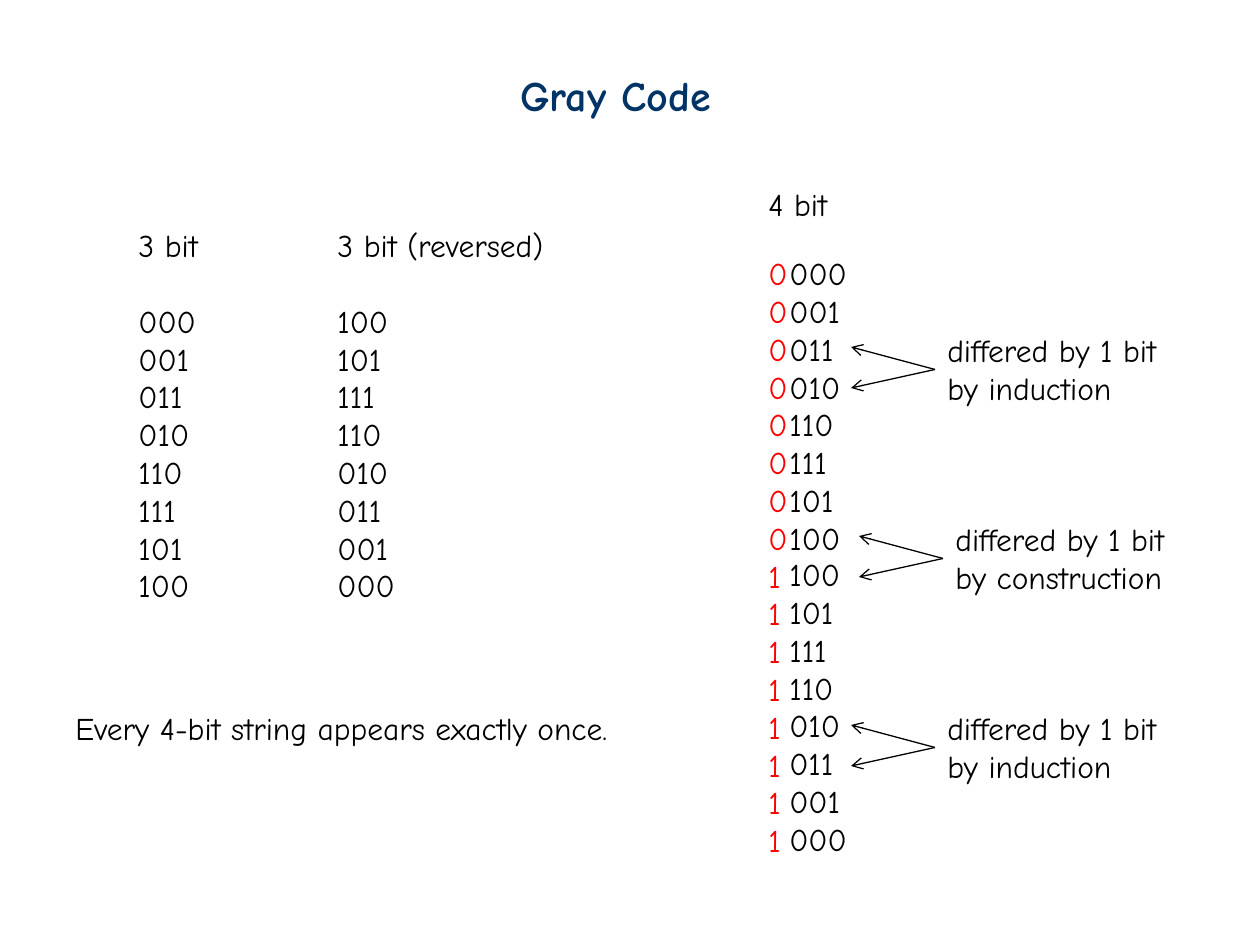
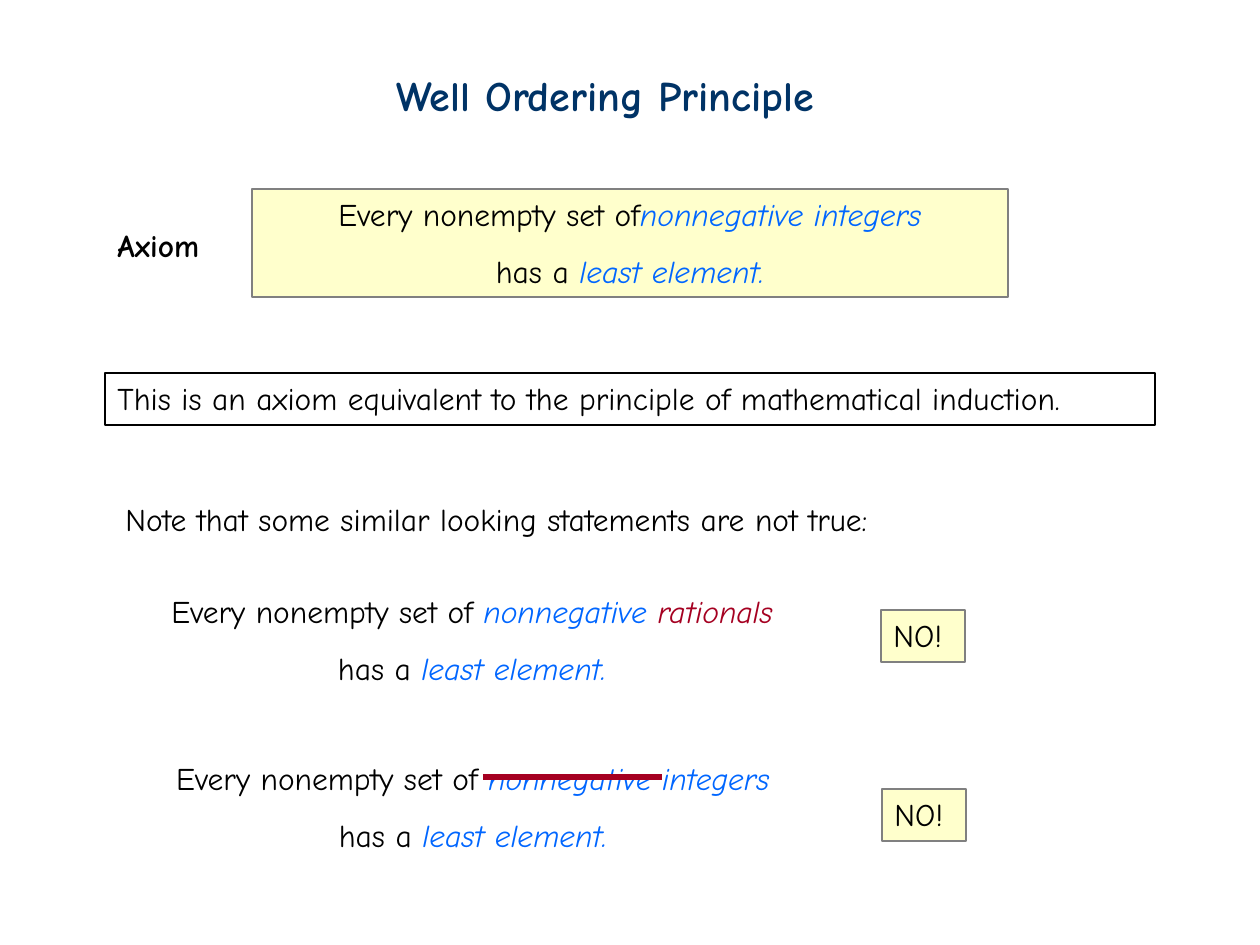
from dataclasses import dataclass

from lxml import etree
from pptx import Presentation
from pptx.dml.color import RGBColor
from pptx.enum.shapes import MSO_CONNECTOR, MSO_SHAPE
from pptx.enum.text import MSO_ANCHOR, MSO_AUTO_SIZE, PP_ALIGN
from pptx.oxml.ns import qn
from pptx.util import Emu, Pt

STRAIGHT = MSO_CONNECTOR.STRAIGHT
RECTANGLE = MSO_SHAPE.RECTANGLE
TOP = MSO_ANCHOR.TOP
FIT_SHAPE = MSO_AUTO_SIZE.SHAPE_TO_FIT_TEXT
LEFT, CENTER = PP_ALIGN.LEFT, PP_ALIGN.CENTER
LEFT_SIDE = 1
EMU_PER_PX = 914400 / 126


@dataclass(frozen=True)
class Theme:
    font: str = "Comic Neue"
    title_size: int = 24
    body_size: int = 18
    header_gap: float = 21.6
    thin: float = 0.75
    thick: float = 3
    title: str = "003366"
    ink: str = "000000"
    prefix: str = "FF0000"
    term: str = "0066FF"
    wrong: str = "A50021"
    panel: str = "FFFFCC"
    panel_edge: str = "808080"


THEME = Theme()

# Gray code content
GRAY_3 = ["000", "001", "011", "010", "110", "111", "101", "100"]
REVERSED_3 = GRAY_3[::-1]
PREFIXES = ["0"] * len(GRAY_3) + ["1"] * len(GRAY_3)
THREE_BIT_COLUMNS = [
    ("3 bit", GRAY_3, (126, 220, 97, 394)),
    ("3 bit (reversed)", REVERSED_3, (325, 220, 262, 394)),
]
FOUR_BIT_COLUMNS = [
    (GRAY_3, (777, 248, 105, 318), THEME.ink),
    (REVERSED_3, (777, 549, 116, 318), THEME.ink),
    (PREFIXES, (756, 248, 45, 624), THEME.prefix),
]
REASONS = [("by induction", 935), ("by construction", 943), ("by induction", 935)]
REASON_TOP, REASON_PITCH = 325, 189
ARROW_REACH, ARROW_DROPS = 84, (22, 63)

# Well ordering content: each run is (text, colour, italic)
NONEMPTY = ("Every nonempty set of ", THEME.ink, False)
LEAST_ELEMENT = [("has a ", THEME.ink, False), ("least element.", THEME.term, True)]
AXIOM = [("Every nonempty set of", THEME.ink, False),
         ("nonnegative integers", THEME.term, True)]
FALSE_STATEMENTS = [
    ([NONEMPTY, ("nonnegative ", THEME.term, True), ("rationals", THEME.wrong, True)],
     (115, 586, 714, 107), (881, 610, 84, 52)),
    ([NONEMPTY, ("nonnegative integers", THEME.term, True)],
     (95, 753, 756, 107), (882, 789, 84, 52)),
]
STRIKE = (483, 777, 662, 777)


def px(value):
    return Emu(round(value * EMU_PER_PX))


def rgb(code):
    return RGBColor.from_string(code)


def add_run(paragraph, text, color=THEME.ink, italic=False, bold=False,
            size=THEME.body_size):
    run = paragraph.add_run()
    run.text = text
    font = run.font
    font.name, font.size = THEME.font, Pt(size)
    font.bold, font.italic = bold, italic
    font.color.rgb = rgb(color)


def write(shape, lines, wrap=False, align=LEFT, **style):
    """Fill a shape; a line is a string or a list of (text, colour, italic) runs."""
    frame = shape.text_frame
    frame.word_wrap, frame.auto_size = wrap, FIT_SHAPE
    frame.vertical_anchor = TOP
    for index, line in enumerate(lines):
        paragraph = frame.add_paragraph() if index else frame.paragraphs[0]
        paragraph.alignment = align
        if isinstance(line, str):
            add_run(paragraph, line, **style)
        else:
            for text, color, italic in line:
                add_run(paragraph, text, color, italic)
    return shape


def add_text(slide, box, lines, **options):
    return write(slide.shapes.add_textbox(*map(px, box)), lines, **options)


def add_panel(slide, box, lines, fill=THEME.panel, edge=THEME.panel_edge, **options):
    panel = slide.shapes.add_shape(RECTANGLE, *map(px, box))
    panel.shadow.inherit = False
    if fill:
        panel.fill.solid()
        panel.fill.fore_color.rgb = rgb(fill)
    else:
        panel.fill.background()
    panel.line.color.rgb = rgb(edge)
    panel.line.width = Pt(THEME.thin)
    return write(panel, lines, **options)


def add_line(slide, ends, color=THEME.ink, width=THEME.thin):
    line = slide.shapes.add_connector(STRAIGHT, *map(px, ends))
    line.line.color.rgb = rgb(color)
    line.line.width = Pt(width)
    etree.SubElement(line._element.spPr, qn("a:effectLst"))
    return line


def add_arrow(slide, source, ends):
    """Draw an open arrow that starts at the left side of source."""
    arrow = add_line(slide, ends)
    arrow.begin_connect(source, LEFT_SIDE)
    etree.SubElement(arrow.line._get_or_add_ln(), qn("a:tailEnd"), type="arrow")


def add_titled_slide(deck, title, box):
    slide = deck.slides.add_slide(deck.slide_layouts[6])
    add_text(slide, box, [title], color=THEME.title, bold=True, size=THEME.title_size)
    return slide


def add_statement(draw, slide, box, opening):
    statement = draw(slide, box, [opening, LEAST_ELEMENT], wrap=True, align=CENTER)
    statement.text_frame.paragraphs[1].line_spacing = 1.5


def build_gray_code(deck):
    slide = add_titled_slide(deck, "Gray Code", (508, 63, 237, 64))
    for header, codes, box in THREE_BIT_COLUMNS:
        column = add_text(slide, box, [header, *codes])
        column.text_frame.paragraphs[1].space_before = Pt(THEME.header_gap)
    for codes, box, color in FOUR_BIT_COLUMNS:
        add_text(slide, box, codes, color=color)
    add_text(slide, (756, 179, 97, 50), ["4 bit"])
    for index, (reason, left) in enumerate(REASONS):
        top = REASON_TOP + index * REASON_PITCH
        note = add_text(slide, (left, top, 275, 89), ["differed by 1 bit", reason])
        for drop in ARROW_DROPS:
            add_arrow(slide, note, (left, top + 45, left - ARROW_REACH, top + drop))
    add_text(slide, (63, 703, 620, 50), ["Every 4-bit string appears exactly once."])


def build_well_ordering(deck):
    slide = add_titled_slide(deck, "Well Ordering Principle", (384, 63, 498, 63))
    add_text(slide, (105, 220, 117, 50), ["Axiom"], bold=True)
    add_statement(add_panel, slide, (252, 189, 756, 108), AXIOM)
    add_panel(slide, (105, 373, 1050, 52),
              ["This is an axiom equivalent to the principle of mathematical induction."],
              fill=None, edge=THEME.ink, wrap=True)
    add_text(slide, (113, 494, 847, 50),
             ["Note that some similar looking statements are not true:"])
    for opening, box, verdict_box in FALSE_STATEMENTS:
        add_statement(add_text, slide, box, opening)
        add_panel(slide, verdict_box, ["NO!"])
    add_line(slide, STRIKE, THEME.wrong, THEME.thick)


def main():
    deck = Presentation()
    deck.slide_width, deck.slide_height = px(1260), px(945)
    build_gray_code(deck)
    build_well_ordering(deck)
    deck.save("out.pptx")


if __name__ == "__main__":
    main()
